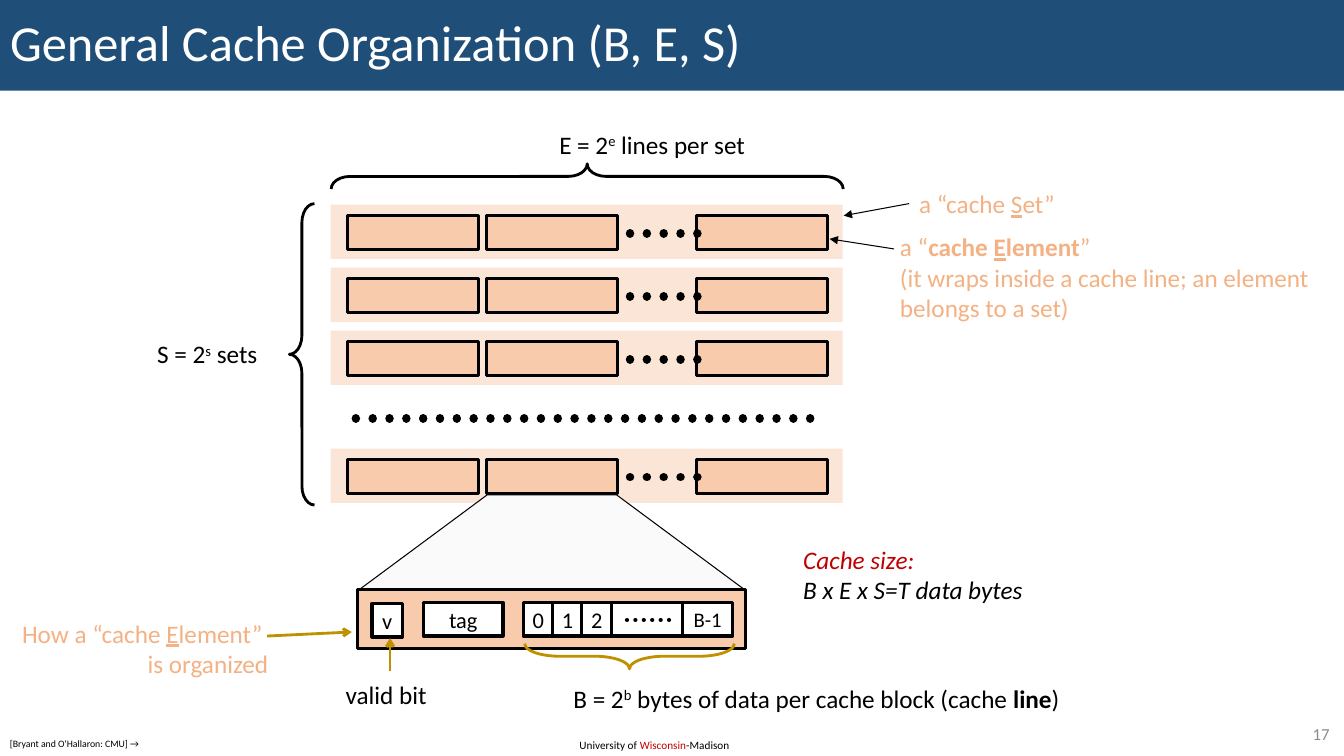
"""Build the cache organization slide on a grid of 0.1 inch columns and rows."""
import pptx
import pptx.dml.color
import pptx.enum.dml
import pptx.enum.shapes
import pptx.enum.text
import pptx.oxml
import pptx.oxml.ns
import pptx.util

SHAPE = pptx.enum.shapes.MSO_SHAPE
ALIGN = pptx.enum.text.PP_ALIGN
ANCHOR = pptx.enum.text.MSO_ANCHOR
BLACK, WHITE, RED, GOLD = "000000", "FFFFFF", "C00000", "BF9000"
NAVY, PEACH, PALE, LABEL = "1F4E79", "F8CBAD", "FBE5D6", "F4B183"
COLUMNS, ROWS = 133.33, 75
SET_X, SET_W, SET_H = 32.8, 50.8, 5.4
ELEMENT_W, ELEMENT_H = 13, 3.4
ELEMENT_XS = (34.5, 48.3, 69.1)
SET_TOPS = (20.3, 26.55, 32.8, 44.5)
BYTE_TOP, BYTE_H = 59.8, 3.3


def grid(n):
    """Return the length of n grid units."""
    return pptx.util.Inches(n / 10)


def rgb(value):
    """Return the colour of a hex string."""
    return pptx.dml.color.RGBColor.from_string(value)


def write(sp, paragraphs, size=18, color=BLACK, align=ALIGN.LEFT, anchor=ANCHOR.TOP, wrap=False):
    """Fill a shape with paragraphs, each a string or a list of (text, flags, colour) pieces."""
    tf = sp.text_frame
    tf.word_wrap = wrap
    tf.vertical_anchor = anchor
    for i, pieces in enumerate(paragraphs):
        p = tf.add_paragraph() if i else tf.paragraphs[0]
        p.alignment = align
        for text, flags, *tint in [(pieces, "")] if isinstance(pieces, str) else pieces:
            if text == "\n":
                p.add_line_break()
                continue
            r = p.add_run()
            r.text = text
            r.font.name = "Calibri"
            r.font.size = pptx.util.Pt(size)
            r.font.color.rgb = rgb(tint[0] if tint else color)
            r.font.bold = "b" in flags
            r.font.italic = "i" in flags
            r.font.underline = "u" in flags
            if "^" in flags:
                r.font._element.set("baseline", "30000")


def label(shapes, frame, paragraphs, **style):
    """Add a text box."""
    write(shapes.add_textbox(*map(grid, frame)), paragraphs, **style)


def block(shapes, kind, frame, fill=None, line=None, width=2.25):
    """Add a preset shape with an optional fill and outline."""
    sp = shapes.add_shape(kind, *map(grid, frame))
    sp.shadow.inherit = False
    if fill:
        sp.fill.solid()
        sp.fill.fore_color.rgb = rgb(fill)
    else:
        sp.fill.background()
    if line:
        sp.line.color.rgb = rgb(line)
        sp.line.width = pptx.util.Pt(width)
    else:
        sp.line.fill.background()
    return sp


def brace(shapes, frame, color=BLACK, bend=0.75, rotation=0):
    """Add a left brace, turned if needed."""
    sp = block(shapes, SHAPE.LEFT_BRACE, frame, line=color, width=2)
    sp.adjustments[0] = bend
    sp.rotation = rotation


def connect(shapes, start, end, color=BLACK, width=0.75):
    """Add a straight line without a shadow."""
    cx = shapes.add_connector(pptx.enum.shapes.MSO_CONNECTOR.STRAIGHT, *map(grid, start + end))
    cx.line.color.rgb = rgb(color)
    cx.line.width = pptx.util.Pt(width)
    cx._element.spPr.append(pptx.oxml.parse_xml(
        f'<a:effectLst {pptx.oxml.ns.nsdecls("a")}/>'))
    return cx


def arrow(shapes, start, end, head="triangle", **style):
    """Add a line with an arrowhead at its end."""
    cx = connect(shapes, start, end, **style)
    cx.line._get_or_add_ln().append(pptx.oxml.parse_xml(
        f'<a:tailEnd {pptx.oxml.ns.nsdecls("a")} type="{head}"/>'))


def dots(shapes, x1, x2, y, width=6):
    """Add a row of round dots."""
    cx = connect(shapes, (x1, y), (x2, y), width=width)
    cx.line.dash_style = pptx.enum.dml.MSO_LINE.ROUND_DOT
    cx.line._get_or_add_ln().set("cap", "rnd")


def cache_set(shapes, top):
    """Add one set as a group of elements on a band."""
    group = shapes.add_group_shape().shapes
    block(group, SHAPE.RECTANGLE, (SET_X, top, SET_W, SET_H), PALE)
    for x in ELEMENT_XS:
        block(group, SHAPE.RECTANGLE, (x, top + 1.05, ELEMENT_W, ELEMENT_H), PEACH, BLACK)
    dots(group, 62.5, 69.2, top + 2.85)


def field(shapes, x, width, text="", size=16, top=BYTE_TOP):
    """Add one white field of the enlarged element."""
    sp = block(shapes, SHAPE.RECTANGLE, (x, top, width, BYTE_H), WHITE, BLACK)
    if text:
        write(sp, [text], size=size, align=ALIGN.CENTER, anchor=ANCHOR.MIDDLE)


def element_detail(shapes):
    """Add the enlarged element with its fields."""
    zoom = block(shapes, SHAPE.TRAPEZOID, (35.5, 49.1, 38.5, 9.5), "FAFAFA", BLACK, 0.75)
    zoom.adjustments[0] = 1.35
    block(shapes, SHAPE.RECTANGLE, (35.5, 58.5, 38.5, 5.8), PEACH, BLACK)
    for i in range(3):
        field(shapes, 51.9 + 2.9 * i, 3, str(i))
    field(shapes, 67.7, 5, "B-1", size=14.8)
    field(shapes, 60.7, 7)
    dots(shapes, 62.2, 67.2, 61.5, width=3)
    field(shapes, 42, 7.9, "tag")
    field(shapes, 36.9, 3, "v", top=59.9)
    brace(shapes, (61.2, 54.7, 2.5, 20.8), GOLD, bend=1.37, rotation=270)
    arrow(shapes, (38.7, 66.6), (38.7, 63.3), "arrow", color=GOLD, width=2)
    arrow(shapes, (26.5, 63.1), (34.9, 62.7), "arrow", color=GOLD, width=2)


def title(sp, text):
    """Place and format the title placeholder as a band."""
    sp.left, sp.top, sp.width, sp.height = map(grid, (0, 0, COLUMNS, 9))
    sp.fill.solid()
    sp.fill.fore_color.rgb = rgb(NAVY)
    write(sp, [text], size=36, color=WHITE, anchor=ANCHOR.MIDDLE, wrap=True)
    sp.text_frame.paragraphs[0].line_spacing = 0.9


def labels(shapes):
    """Add the captions around the diagram."""
    label(shapes, (54.5, 12.3, 21.6, 4), [[("E = 2", ""), ("e", "^"), (" lines per set", "")]])
    label(shapes, (14.6, 33.1, 12.2, 4), [[("S = 2", ""), ("s", "^"), (" sets", "")]])
    label(shapes, (90.2, 18.2, 15.6, 4), [[("a “cache ", ""), ("S", "u"), ("et”", "")]],
          color=LABEL, anchor=ANCHOR.MIDDLE)
    label(shapes, (88.3, 22.5, 43.1, 10.1), [[
        ("a “", ""), ("cache ", "b"), ("E", "bu"), ("lement", "b"), ("” ", ""), ("\n", ""),
        ("(it wraps inside a cache line; an element", ""), ("\n", ""),
        ("belongs to a set)", "")]], color=LABEL)
    label(shapes, (55.9, 67.3, 50.8, 4), [[
        ("B = 2", ""), ("b", "^"), (" bytes of data per cache block (cache ", ""),
        ("line", "b"), (")", "")]])
    label(shapes, (78.7, 53.5, 24, 7.1),
          [[("Cache size:", "i", RED)], [("B x E x S=T data bytes", "i")]])
    label(shapes, (33.3, 66.9, 10.4, 4), ["valid bit"])
    label(shapes, (0.7, 60.8, 26.9, 7.1), [[
        ("How a “cache ", ""), ("E", "u"), ("lement” ", ""), ("\n", ""),
        ("is organized", "")]], color=LABEL, align=ALIGN.RIGHT)


def footer(shapes):
    """Add the institution, the source and the page number."""
    label(shapes, (56.5, 72.8, 17.2, 2.4),
          [[("University of ", ""), ("Wisconsin", "", RED), ("-Madison", "")]], size=8, wrap=True)
    credit = block(shapes, SHAPE.RECTANGLE, (0, 72.7, 15, 2.2), WHITE)
    write(credit, ["[Bryant and O‘Hallaron: CMU] →"], size=7, wrap=True)
    label(shapes, (125.3, 71.3, 7.6, 2.9), ["17"], size=12, color="8C8C8C",
          align=ALIGN.RIGHT, anchor=ANCHOR.MIDDLE, wrap=True)


def main():
    """Build and save the slide."""
    prs = pptx.Presentation()
    prs.slide_width, prs.slide_height = grid(COLUMNS), grid(ROWS)
    shapes = prs.slides.add_slide(prs.slide_layouts[5]).shapes
    title(shapes.title, "General Cache Organization (B, E, S)")
    brace(shapes, (57, -7.9, 2.5, 50.8), rotation=90)
    brace(shapes, (28.7, 20.2, 2.5, 29.9))
    for top in SET_TOPS:
        cache_set(shapes, top)
    dots(shapes, 35.3, 82, 41.5)
    arrow(shapes, (90.2, 20.2), (83.7, 21.4))
    arrow(shapes, (88.7, 24.7), (82.3, 23.7))
    element_detail(shapes)
    labels(shapes)
    footer(shapes)
    prs.save("out.pptx")


if __name__ == "__main__":
    main()
